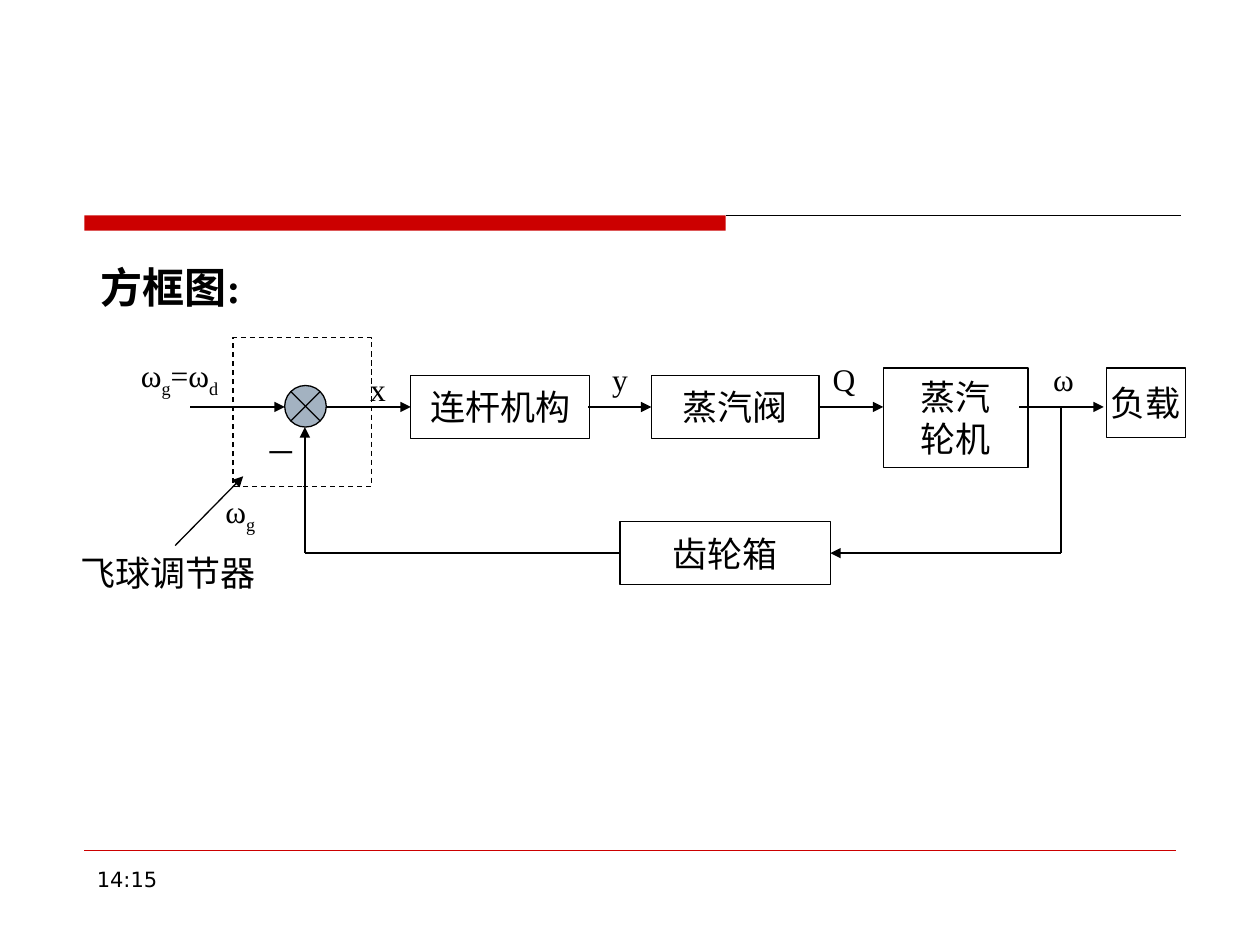
import pptx
import pptx.util
import pptx.dml.color
import pptx.enum.dml
import pptx.enum.shapes
import pptx.enum.text
import pptx.oxml.ns
import pptx.oxml.xmlchemy
from pptx.util import Inches

BLACK = pptx.dml.color.RGBColor(0x00, 0x00, 0x00)
RED = pptx.dml.color.RGBColor(0xCC, 0x00, 0x00)
STEEL = pptx.dml.color.RGBColor(0xA3, 0xB2, 0xC1)
SERIF = "Times New Roman"
SUBSCRIPT = "-25000"
SHAPES = pptx.enum.shapes.MSO_SHAPE
AUTO_SIZE = pptx.enum.text.MSO_AUTO_SIZE

presentation = pptx.Presentation()
presentation.slide_width = Inches(10)
presentation.slide_height = Inches(7.5)
slide = presentation.slides.add_slide(presentation.slide_layouts[6])


def add_line(start, end, arrow=False, color=BLACK, width=0.75):
    line = slide.shapes.add_connector(
        pptx.enum.shapes.MSO_CONNECTOR.STRAIGHT,
        *[Inches(value) for value in start + end])
    line.line.color.rgb = color
    line.line.width = pptx.util.Pt(width)
    properties = line._element.spPr
    if arrow:
        tail = pptx.oxml.xmlchemy.OxmlElement("a:tailEnd")
        tail.set("type", "triangle")
        properties.find(pptx.oxml.ns.qn("a:ln")).append(tail)
    properties.append(pptx.oxml.xmlchemy.OxmlElement("a:effectLst"))


def write_runs(paragraph, text, size, name=SERIF, bold=False):
    """Write text into the paragraph; a letter after "_" becomes a subscript."""
    pieces = text.split("_")
    runs = [(pieces[0], False)]
    for piece in pieces[1:]:
        runs += [(piece[0], True), (piece[1:], False)]
    for content, subscript in runs:
        if not content:
            continue
        run = paragraph.add_run()
        run.text = content
        formats = {"size": pptx.util.Pt(size), "name": name, "bold": bold}
        for attribute, value in formats.items():
            setattr(run.font, attribute, value)
        run.font.color.rgb = BLACK
        if subscript:
            run._r.get_or_add_rPr().set("baseline", SUBSCRIPT)


# Header bar and rules
bar = slide.shapes.add_shape(
    SHAPES.RECTANGLE, Inches(0.67), Inches(1.71), Inches(5.09), Inches(0.12))
bar.shadow.inherit = False
bar.fill.solid()
bar.fill.fore_color.rgb = RED
bar.line.fill.background()
add_line((5.76, 1.71), (9.37, 1.71))
add_line((0.67, 6.75), (9.33, 6.75), color=RED, width=0.25)

# Block diagram: the forward path and the feedback path each have one axis
forward_y, feedback_y = 3.23, 4.39
junction_x, branch_x = 2.42, 8.42

blocks = [
    (3.26, 2.98, 1.42, 0.5, ["连杆机构"]),
    (5.17, 2.98, 1.33, 0.5, ["蒸汽阀"]),
    (7.01, 2.92, 1.15, 0.79, ["蒸汽", "轮机"]),
    (4.92, 4.14, 1.67, 0.5, ["齿轮箱"]),
    (8.78, 2.92, 0.63, 0.55, ["负载"]),
]
for left, top, width, height, lines in blocks:
    block = slide.shapes.add_shape(
        SHAPES.RECTANGLE, Inches(left), Inches(top), Inches(width), Inches(height))
    block.shadow.inherit = False
    block.fill.background()
    block.line.color.rgb = BLACK
    block.line.width = pptx.util.Pt(0.75)
    frame = block.text_frame
    frame.word_wrap = False
    frame.vertical_anchor = pptx.enum.text.MSO_ANCHOR.MIDDLE
    for index, text in enumerate(lines):
        paragraph = frame.add_paragraph() if index else frame.paragraphs[0]
        paragraph.alignment = pptx.enum.text.PP_ALIGN.CENTER
        write_runs(paragraph, text, 20)

junction = slide.shapes.add_shape(
    SHAPES.FLOWCHART_SUMMING_JUNCTION,
    Inches(2.26), Inches(3.06), Inches(0.33), Inches(0.33))
junction.fill.solid()
junction.fill.fore_color.rgb = STEEL

governor = slide.shapes.add_shape(
    SHAPES.RECTANGLE, Inches(1.85), Inches(2.68), Inches(1.1), Inches(1.18))
governor.fill.background()
governor.line.dash_style = pptx.enum.dml.MSO_LINE.DASH

for shape in (junction, governor):
    shape.shadow.inherit = False
    shape.line.color.rgb = BLACK
    shape.line.width = pptx.util.Pt(0.75)

forward_arrows = [(1.51, 2.26), (2.59, 3.26), (4.67, 5.17), (6.51, 7.01), (8.09, 8.76)]
for start_x, end_x in forward_arrows:
    add_line((start_x, forward_y), (end_x, forward_y), arrow=True)
add_line((branch_x, forward_y), (branch_x, feedback_y))
add_line((branch_x, feedback_y), (6.59, feedback_y), arrow=True)
add_line((4.92, feedback_y), (junction_x, feedback_y))
add_line((junction_x, feedback_y), (junction_x, 3.39), arrow=True)
add_line((1.39, 4.33), (1.93, 3.78), arrow=True)

# Labels: left, top, width, height, text, size, wrap, further font formats
labels = [
    (0.7, 2.03, 1.33, 0.51, "方框图:", 24, False, {"bold": True}),
    (1.02, 2.78, 0.94, 0.4, "ω_g=ω_d", 18, True, {}),
    (1.69, 3.86, 0.71, 0.43, "ω_g", 18, True, {}),
    (2.84, 2.89, 0.34, 0.43, "x", 18, False, {}),
    (4.76, 2.81, 0.34, 0.43, "y", 18, False, {}),
    (6.51, 2.81, 0.4, 0.43, "Q", 18, False, {}),
    (8.26, 2.81, 0.48, 0.43, "ω", 18, False, {}),
    (2.01, 3.39, 0.48, 0.43, "－", 18, False, {}),
    (0.54, 4.33, 1.6, 0.44, "飞球调节器", 20, False, {}),
    (0.67, 6.83, 2.17, 0.52, "14:15", 12, True, {"name": "DejaVu Sans"}),
]
for left, top, width, height, text, size, wrap, formats in labels:
    label = slide.shapes.add_textbox(
        Inches(left), Inches(top), Inches(width), Inches(height))
    label.text_frame.word_wrap = wrap
    label.text_frame.auto_size = (
        AUTO_SIZE.NONE if text == "14:15" else AUTO_SIZE.SHAPE_TO_FIT_TEXT)
    write_runs(label.text_frame.paragraphs[0], text, size, **formats)

presentation.save("out.pptx")
